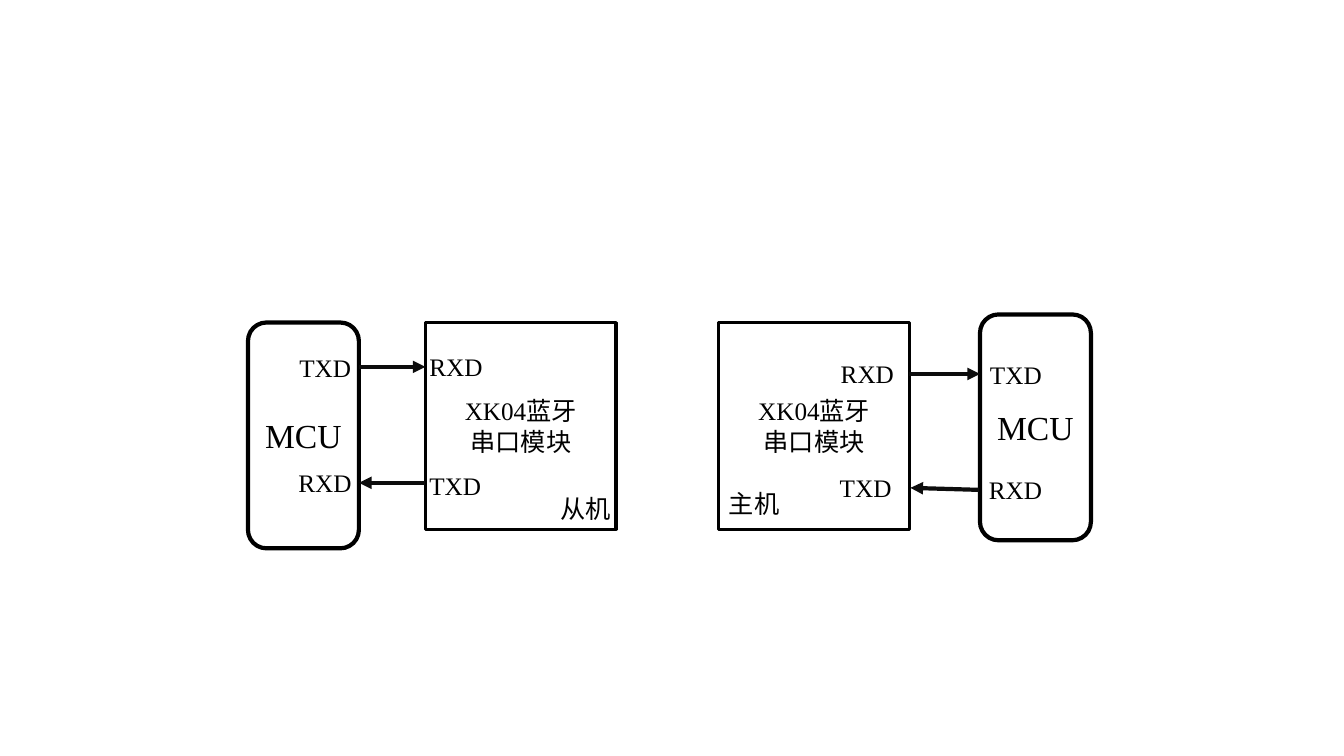
from lxml.etree import SubElement
from pptx import Presentation
from pptx.dml.color import RGBColor
from pptx.enum.shapes import MSO_CONNECTOR, MSO_SHAPE
from pptx.enum.text import MSO_ANCHOR, PP_ALIGN
from pptx.oxml.ns import qn
from pptx.util import Inches, Pt

BLACK = RGBColor(0x00, 0x00, 0x00)
NEAR_BLACK = RGBColor(0x0D, 0x0D, 0x0D)
WHITE = RGBColor(0xFF, 0xFF, 0xFF)
LATIN_FONT = "Times New Roman"
CHINESE_FONT = "Noto Sans CJK SC"

CELL = Inches(0.1)  # side of one square of the layout grid
MCU_WIDTH, MCU_HEIGHT = 11, 22.4
MODULE_WIDTH, MODULE_HEIGHT = 18.9, 20.5
MODULE_TOP = 32
LABEL_HEIGHT = 4


def add_run(paragraph, text, size):
    run = paragraph.add_run()
    run.text = text
    run.font.size = Pt(size)
    run.font.name = LATIN_FONT if text.isascii() else CHINESE_FONT
    run.font.color.rgb = BLACK
    SubElement(run.font._element, qn("a:ea"), typeface=CHINESE_FONT)


def add_box(preset, left, top, width, height, line_width, size, lines):
    shape = slide.shapes.add_shape(
        preset, *(round(cells * CELL) for cells in (left, top, width, height)))
    shape.shadow.inherit = False
    shape.fill.solid()
    shape.fill.fore_color.rgb = WHITE
    shape.line.color.rgb = BLACK
    shape.line.width = Pt(line_width)
    frame = shape.text_frame
    frame.word_wrap = True
    frame.vertical_anchor = MSO_ANCHOR.MIDDLE
    for index, texts in enumerate(lines):
        paragraph = frame.add_paragraph() if index else frame.paragraphs[0]
        paragraph.alignment = PP_ALIGN.CENTER
        for text in texts:
            add_run(paragraph, text, size)


presentation = Presentation()
presentation.slide_width = Inches(13.33)
presentation.slide_height = Inches(7.5)
slide = presentation.slides.add_slide(presentation.slide_layouts[6])

# Each side: MCU left and top, module left
for mcu_left, mcu_top, module_left in [(24.6, 32, 42.2), (97.2, 31.2, 71.3)]:
    add_box(MSO_SHAPE.ROUNDED_RECTANGLE, mcu_left, mcu_top,
            MCU_WIDTH, MCU_HEIGHT, 3, 24, [["MCU"]])
    add_box(MSO_SHAPE.RECTANGLE, module_left, MODULE_TOP,
            MODULE_WIDTH, MODULE_HEIGHT, 2.25, 18,
            [["XK04", "蓝牙"], ["串口模块"]])

# Signal arrows: start column and row, end column and row
signals = [
    (35.6, 36.4, 42.2, 36.4),
    (42.2, 47.9, 35.6, 47.9),
    (90.2, 37.1, 97.2, 37.1),
    (97.1, 48.6, 90.3, 48.4),
]
for ends in signals:
    arrow = slide.shapes.add_connector(
        MSO_CONNECTOR.STRAIGHT, *(round(cells * CELL) for cells in ends))
    arrow.line.color.rgb = NEAR_BLACK
    arrow.line.width = Pt(3)
    SubElement(arrow.line._get_or_add_ln(), qn("a:tailEnd"), type="triangle")
    SubElement(arrow._element.spPr, qn("a:effectLst"))

# Pin and role labels: text, left, top, width, wraps
labels = [
    ("TXD", 28.7, 34.5, 7.5, True),
    ("RXD", 28.6, 45.9, 7.8, True),
    ("RXD", 41.6, 34.4, 7.5, True),
    ("TXD", 41.6, 46.2, 7.9, True),
    ("从机", 54.6, 48.4, 7.1, False),
    ("TXD", 97.2, 35.2, 8.1, True),
    ("RXD", 97.1, 46.6, 8.1, True),
    ("RXD", 82.4, 35.1, 8.1, True),
    ("TXD", 82.3, 46.4, 8.1, True),
    ("主机", 71.3, 48, 7.1, False),
]
for text, left, top, width, wraps in labels:
    label = slide.shapes.add_textbox(
        *(round(cells * CELL) for cells in (left, top, width, LABEL_HEIGHT)))
    label.text_frame.word_wrap = wraps
    add_run(label.text_frame.paragraphs[0], text, 18)

presentation.save("out.pptx")
